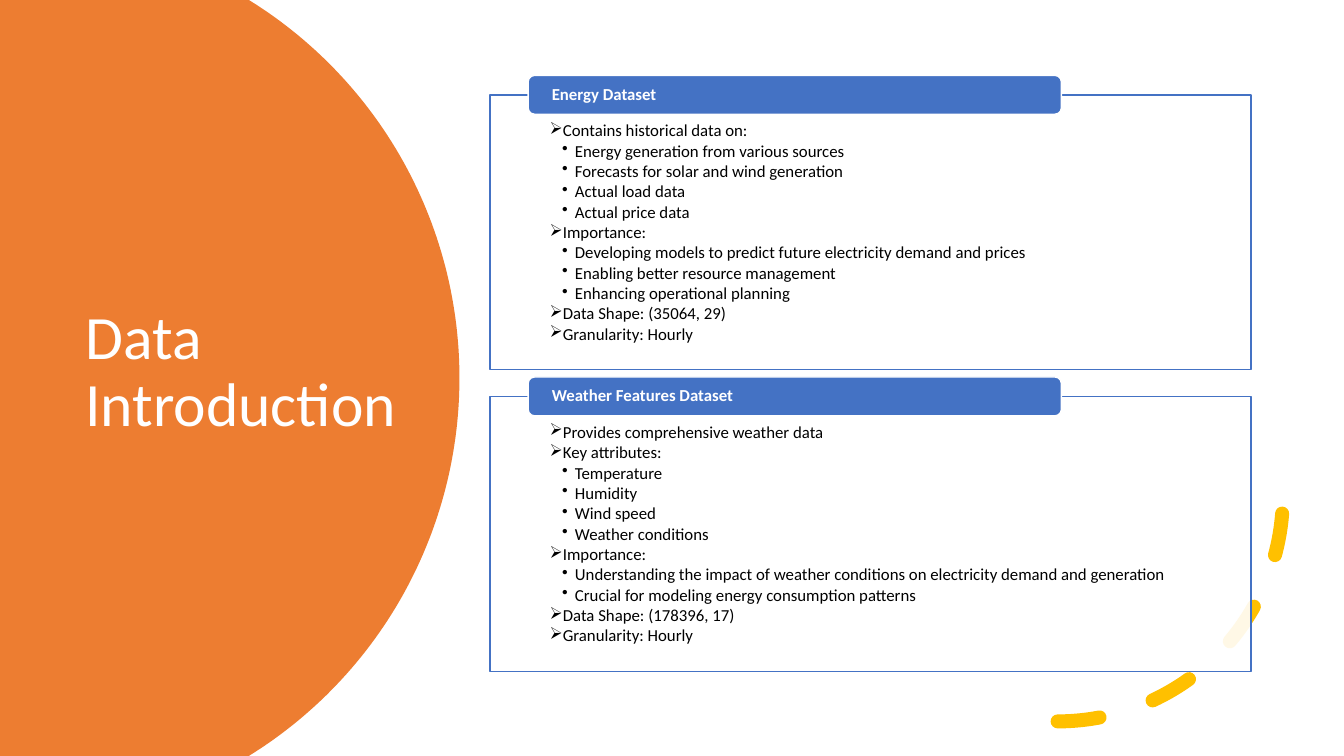
import math

import pptx
import pptx.dml.color
import pptx.enum.dml
import pptx.enum.shapes
import pptx.enum.text
import pptx.oxml.ns
import pptx.util
from lxml import etree

Cm = pptx.util.Cm
Pt = pptx.util.Pt
SHAPE = pptx.enum.shapes.MSO_SHAPE
ANCHOR = pptx.enum.text.MSO_ANCHOR
qn = pptx.oxml.ns.qn

WIDTH, HEIGHT = 33.87, 19.05
BULLETS = {1: ("➢", 0.32), 2: ("•", 0.64)}
HANGING = 0.32

DATASETS = [
    ("Energy Dataset", [
        (1, "Contains historical data on:"),
        (2, "Energy generation from various sources"),
        (2, "Forecasts for solar and wind generation"),
        (2, "Actual load data"),
        (2, "Actual price data"),
        (1, "Importance:"),
        (2, "Developing models to predict future electricity demand and prices"),
        (2, "Enabling better resource management"),
        (2, "Enhancing operational planning"),
        (1, "Data Shape: (35064, 29)"),
        (1, "Granularity: Hourly"),
    ]),
    ("Weather Features Dataset", [
        (1, "Provides comprehensive weather data"),
        (1, "Key attributes:"),
        (2, "Temperature"),
        (2, "Humidity"),
        (2, "Wind speed"),
        (2, "Weather conditions"),
        (1, "Importance:"),
        (2, "Understanding the impact of weather conditions on electricity "
            "demand and generation"),
        (2, "Crucial for modeling energy consumption patterns"),
        (1, "Data Shape: (178396, 17)"),
        (1, "Granularity: Hourly"),
    ]),
]


def color(value):
    return pptx.dml.color.RGBColor.from_string(value)


def apply(target, values):
    for name, value in values.items():
        setattr(target, name, value)


class SlideBuilder:
    font = "Calibri"
    orange, blue, yellow = "ED7D31", "4472C4", "FFC000"
    white, black = "FFFFFF", "000000"

    def __init__(self, slide):
        self.slide = slide

    def paint(self, shape, fill=None, line=None, line_width=1):
        shape.shadow.inherit = False
        if fill:
            shape.fill.solid()
            shape.fill.fore_color.rgb = color(fill)
        else:
            shape.fill.background()
        if line:
            shape.line.color.rgb = color(line)
            shape.line.width = Pt(line_width)
        else:
            shape.line.fill.background()

    def shape(self, kind, box, **paint):
        shape = self.slide.shapes.add_shape(kind, *map(Cm, box))
        self.paint(shape, **paint)
        return shape

    def frame(self, shape, anchor, left, top, bottom):
        apply(shape.text_frame, {
            "word_wrap": True, "vertical_anchor": anchor,
            "auto_size": pptx.enum.text.MSO_AUTO_SIZE.NONE,
            "margin_left": Cm(left), "margin_right": Cm(left),
            "margin_top": Cm(top), "margin_bottom": Cm(bottom)})
        return shape.text_frame

    def add_text(self, paragraph, text, size, text_color, bold=False, after=0):
        apply(paragraph, {"alignment": pptx.enum.text.PP_ALIGN.LEFT,
                          "line_spacing": 0.9, "space_before": Pt(0),
                          "space_after": Pt(after)})
        run = paragraph.add_run()
        run.text = text
        apply(run.font, {"name": self.font, "size": Pt(size), "bold": bold})
        run.font.color.rgb = color(text_color)

    def bullet(self, paragraph, level):
        character, indent = BULLETS[level]
        paragraph.level = level
        properties = paragraph._p.get_or_add_pPr()
        properties.set("marL", str(Cm(indent)))
        properties.set("indent", str(-Cm(HANGING)))
        etree.SubElement(properties, qn("a:buChar")).set("char", character)

    def disc(self, center_x, radius):
        """Circle segment cut off by the left, top and bottom slide edges."""
        middle, steps = HEIGHT / 2, 120
        limit = math.asin(middle / radius)
        angles = [limit * (2 * step / steps - 1) for step in range(steps + 1)]
        points = [(Cm(center_x + radius * math.cos(angle)),
                   Cm(middle + radius * math.sin(angle))) for angle in angles]
        builder = self.slide.shapes.build_freeform(0, 0)
        builder.add_line_segments(points + [(0, Cm(HEIGHT))], close=True)
        self.paint(builder.convert_to_shape(), fill=self.orange)

    def title(self, text, box):
        title = self.slide.shapes.title
        apply(title, dict(zip(("left", "top", "width", "height"), map(Cm, box))))
        frame = self.frame(title, ANCHOR.MIDDLE, 0.25, 0.13, 0.13)
        self.add_text(frame.paragraphs[0], text, 44, self.white, after=6)
        # Bring the title in front of the disc
        self.slide.shapes.element.append(title.element)

    def dashed_arc(self, box):
        arc = self.shape(SHAPE.ARC, box, line=self.yellow, line_width=10)
        arc.line.dash_style = pptx.enum.dml.MSO_LINE.DASH
        arc.element.spPr.find(qn("a:ln")).set("cap", "rnd")
        arc.element.spPr.find(qn("a:xfrm")).set("flipV", "1")

    def panel(self, box, items):
        panel = self.shape(SHAPE.RECTANGLE, box, fill=self.white, line=self.blue)
        fill = panel.element.spPr.find(qn("a:solidFill"))
        etree.SubElement(fill[0], qn("a:alpha")).set("val", "90000")
        frame = self.frame(panel, ANCHOR.TOP, 1.5, 0.69, 0.23)
        for index, (level, text) in enumerate(items):
            paragraph = frame.add_paragraph() if index else frame.paragraphs[0]
            self.add_text(paragraph, text, 12, self.black, after=1.6)
            self.bullet(paragraph, level)

    def tab(self, box, text):
        tab = self.shape(SHAPE.ROUNDED_RECTANGLE, box,
                         fill=self.blue, line=self.white)
        frame = self.frame(tab, ANCHOR.MIDDLE, 0.55, 0, 0)
        self.add_text(frame.paragraphs[0], text, 12, self.white, bold=True)


def main():
    presentation = pptx.Presentation()
    presentation.slide_width = Cm(WIDTH)
    presentation.slide_height = Cm(HEIGHT)
    slide = presentation.slides.add_slide(presentation.slide_layouts[5])
    builder = SlideBuilder(slide)

    # Left side: disc and title
    builder.disc(0.38, 11.2)
    builder.title("Data Introduction", (1.9, 3.2, 8.9, 12.4))

    # Decoration behind the panels
    builder.dashed_arc((20.98, 6.83, 11.35, 11.35))

    # One panel with a heading tab for each dataset
    for index, (heading, items) in enumerate(DATASETS):
        top = 2.39 + 7.6 * index
        builder.panel((12.35, top, 19.18, 6.93), items)
        builder.tab((13.31, top - 0.49, 13.44, 0.98), heading)

    presentation.save("out.pptx")


if __name__ == "__main__":
    main()
